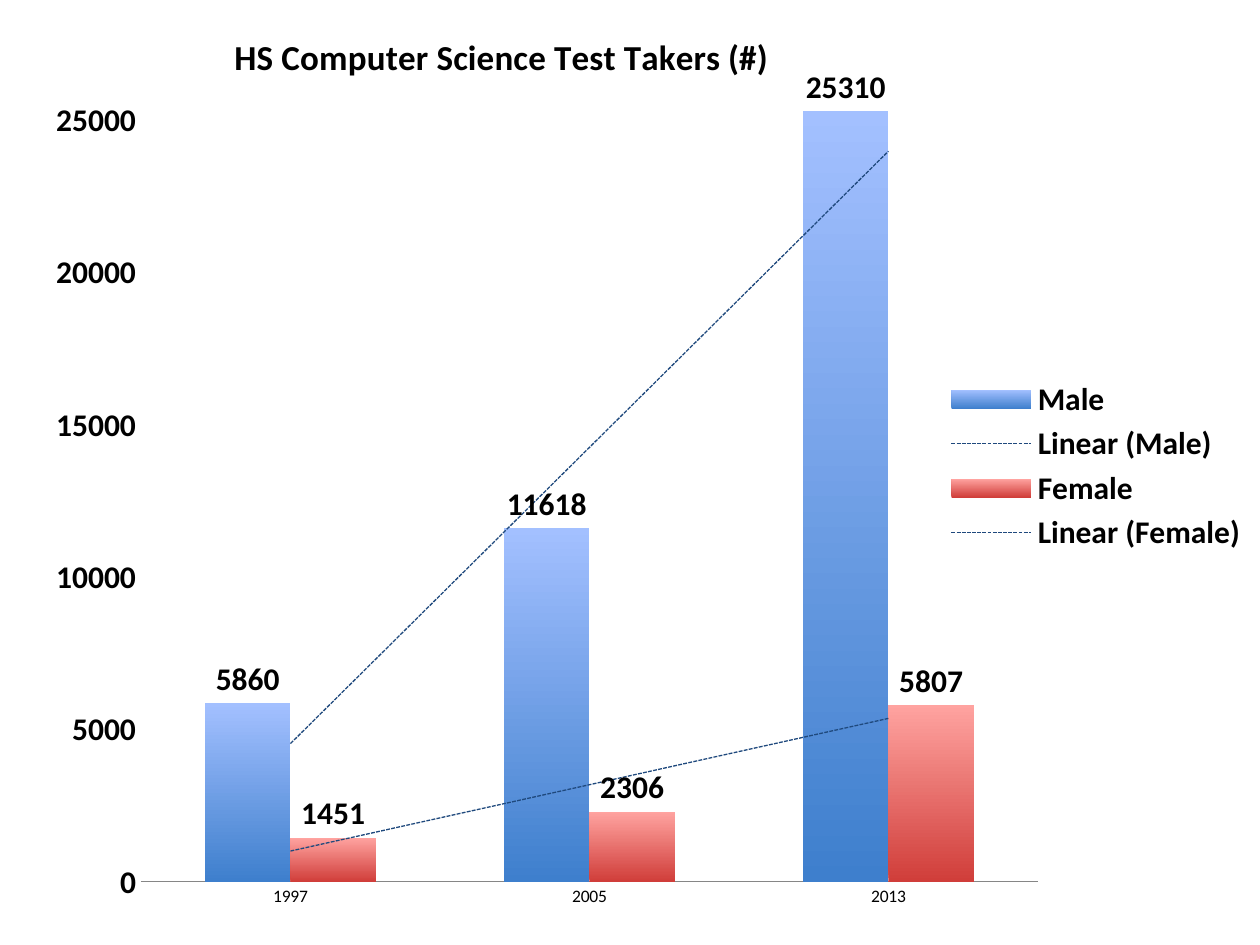
from lxml import etree
from pptx import Presentation
from pptx import util as u
from pptx.chart.data import CategoryChartData
from pptx.dml.color import RGBColor
from pptx.enum import chart as kinds
from pptx.oxml import parse_xml
from pptx.oxml.ns import nsdecls, qn

PX = 914400 / 126
FONT = "Calibri"
BLACK, AXIS_GREY, TREND_BLUE = "000000", "868686", "1F497D"
YEARS = ["1997", "2005", "2013"]
# name, values, bottom colour, top colour
GROUPS = [
    ("Male", (5860, 11618, 25310), "3E7FCD", "A3C0FF"),
    ("Female", (1451, 2306, 5807), "D03E3A", "FFA3A0"),
]


def px(length):
    return u.Emu(round(length * PX))


def colour(value):
    return RGBColor.from_string(value)


def style_font(font, size, bold=False):
    font.name = FONT
    font.size = u.Pt(size)
    font.bold = bold
    font.color.rgb = colour(BLACK)


def set_layout(element, index, box, area, inner=False):
    """Fix a chart part at a px box measured from the chart's corner."""
    for old in element.findall(qn("c:layout")):
        element.remove(old)
    layout = parse_xml(f"<c:layout {nsdecls('c')}><c:manualLayout/></c:layout>")
    settings = [("layoutTarget", "inner")] if inner else []
    settings += [("xMode", "edge"), ("yMode", "edge")]
    sizes = (area[2], area[3], area[2], area[3])
    settings += [(key, f"{length / whole:.4f}")
                 for key, length, whole in zip("xywh", box, sizes)]
    for key, value in settings:
        etree.SubElement(layout[0], qn(f"c:{key}")).set("val", value)
    element.insert(index, layout)


def add_trendline(series):
    trend = parse_xml(
        f"<c:trendline {nsdecls('c', 'a')}>"
        f'<c:spPr><a:ln w="9525"><a:solidFill><a:srgbClr val="{TREND_BLUE}"/>'
        '</a:solidFill><a:prstDash val="sysDash"/></a:ln></c:spPr>'
        '<c:trendlineType val="linear"/>'
        '<c:dispRSqr val="0"/><c:dispEq val="0"/></c:trendline>')
    series._element.find(qn("c:cat")).addprevious(trend)


def style_series(series, bottom, top):
    fill = series.format.fill
    fill.gradient()
    fill.gradient_angle = 90
    for stop, shade in zip(fill.gradient_stops, (bottom, top)):
        stop.color.rgb = colour(shade)
    series.invert_if_negative = False
    labels = series.data_labels
    labels.show_value = True
    labels.position = kinds.XL_LABEL_POSITION.OUTSIDE_END
    style_font(labels.font, 18, True)
    add_trendline(series)


def style_axes(chart):
    years, counts = chart.category_axis, chart.value_axis
    for axis in (years, counts):
        axis.has_major_gridlines = False
        axis.major_tick_mark = axis.minor_tick_mark = kinds.XL_TICK_MARK.NONE
    style_font(years.tick_labels.font, 10)
    years.format.line.color.rgb = colour(AXIS_GREY)
    style_font(counts.tick_labels.font, 18, True)
    counts.format.line.fill.background()
    counts.minimum_scale, counts.maximum_scale = 0, 26000
    counts.major_unit = 5000


def add_test_takers_chart(page, area):
    data = CategoryChartData(number_format="General")
    data.categories = YEARS
    for name, values, *_ in GROUPS:
        data.add_series(name, values)
    chart = page.shapes.add_chart(
        kinds.XL_CHART_TYPE.COLUMN_CLUSTERED, *map(px, area), data).chart
    style_font(chart.font, 10)

    plot = chart.plots[0]
    plot.gap_width, plot.overlap = 150, 0
    plot.vary_by_categories = False
    for series, (_, _, bottom, top) in zip(plot.series, GROUPS):
        style_series(series, bottom, top)
    style_axes(chart)

    chart.has_title = True
    title = chart.chart_title
    title.text_frame.text = "HS Computer Science Test Takers (#)"
    style_font(title.text_frame.paragraphs[0].runs[0].font, 20, True)
    chart.has_legend = True
    legend = chart.legend
    legend.position = kinds.XL_LEGEND_POSITION.RIGHT
    legend.include_in_layout = False
    style_font(legend.font, 18, True)

    plot_area = chart._chartSpace.chart.plotArea
    set_layout(plot_area, 0, (138, 85, 897, 792), area, inner=True)
    set_layout(title._element, 1, (225, 21), area)
    set_layout(legend._element, 1, (937, 369, 312, 184), area)


def main():
    deck = Presentation()
    deck.slide_width, deck.slide_height = px(1260), px(945)
    page = deck.slides.add_slide(deck.slide_layouts[6])
    add_test_takers_chart(page, (3, 5, 1257, 921))
    deck.save("out.pptx")


if __name__ == "__main__":
    main()
